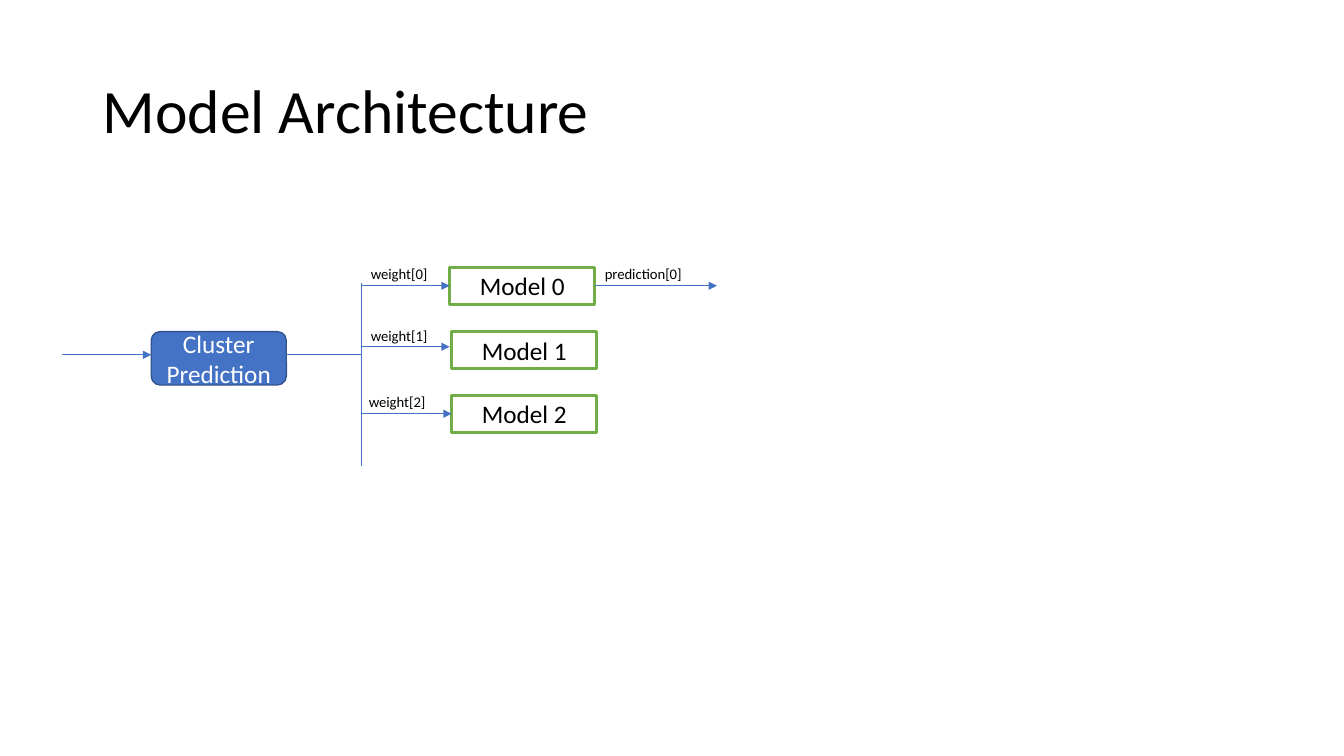
from pptx import Presentation
from pptx.dml.color import RGBColor
from pptx.enum import shapes, text
from pptx.oxml.ns import qn
from pptx.util import Inches, Pt
from lxml import etree

# Content: model, box (left, top), arrow height, weight label (left, top)
TITLE = "Model Architecture"
CLUSTER = "Cluster Prediction"
MODELS = [
    ("Model 0", (4.46, 2.65), 2.83, "weight[0]", (3.58, 2.58)),
    ("Model 1", (4.48, 3.29), 3.44, "weight[1]", (3.58, 3.19)),
    ("Model 2", (4.48, 3.92), 4.1, "weight[2]", (3.56, 3.85)),
]
OUTPUT = "prediction[0]"

# Layout in inches
BOX_W, BOX_H = 1.44, 0.37
LABEL_H = 0.29
CLUSTER_X, CLUSTER_Y, CLUSTER_W, CLUSTER_H = 1.5, 3.29, 1.34, 0.53
FLOW_Y, BUS_X, ARROW_W = 3.52, 3.58, 0.88
BUS_TOP, BUS_BOTTOM = 2.81, 4.62
OUTPUT_END = 7.11

FONT = "Calibri"
BLACK = RGBColor(0x00, 0x00, 0x00)
WHITE = RGBColor(0xFF, 0xFF, 0xFF)
BLUE = RGBColor(0x44, 0x72, 0xC4)
DARK_BLUE = RGBColor(0x32, 0x54, 0x91)
GREEN = RGBColor(0x70, 0xAD, 0x47)

prs = Presentation()
prs.slide_width, prs.slide_height = Inches(13.33), Inches(7.5)
slide = prs.slides.add_slide(prs.slide_layouts[5])


def set_font(p, size, color):
    p.font.name, p.font.size = FONT, Pt(size)
    p.font.color.rgb = color


def add_box(kind, label, x, y, w, h, line, width, color, fill=None):
    sp = slide.shapes.add_shape(kind, Inches(x), Inches(y), Inches(w), Inches(h))
    sp.shadow.inherit = False
    if fill is None:
        sp.fill.background()
    else:
        sp.fill.solid()
        sp.fill.fore_color.rgb = fill
    sp.line.color.rgb, sp.line.width = line, Pt(width)
    tf = sp.text_frame
    tf.word_wrap = True
    tf.vertical_anchor = text.MSO_ANCHOR.MIDDLE
    tf.text = label
    p = tf.paragraphs[0]
    p.alignment = text.PP_ALIGN.CENTER
    set_font(p, 18, color)
    return sp


def add_line(x1, y1, x2, y2, arrow=False):
    line = slide.shapes.add_connector(
        shapes.MSO_CONNECTOR.STRAIGHT, Inches(x1), Inches(y1), Inches(x2), Inches(y2))
    line.line.color.rgb, line.line.width = BLUE, Pt(0.5)
    if arrow:
        etree.SubElement(line.line._get_or_add_ln(), qn("a:tailEnd"), type="triangle")
    etree.SubElement(line._element.spPr, qn("a:effectLst"))
    return line


def add_label(label, x, y):
    tb = slide.shapes.add_textbox(Inches(x), Inches(y), Inches(BOX_W), Inches(LABEL_H))
    tf = tb.text_frame
    tf.word_wrap = True
    tf.auto_size = text.MSO_AUTO_SIZE.SHAPE_TO_FIT_TEXT
    tf.text = label
    set_font(tf.paragraphs[0], 10.5, BLACK)


# Title
title = slide.shapes.title
title.left, title.top = Inches(0.92), Inches(0.4)
title.width, title.height = Inches(11.5), Inches(1.45)
tf = title.text_frame
tf.text = TITLE
tf.vertical_anchor = text.MSO_ANCHOR.MIDDLE
p = tf.paragraphs[0]
p.alignment, p.line_spacing = text.PP_ALIGN.LEFT, 0.9
set_font(p, 44, BLACK)

# Cluster prediction with its input, and the bus it feeds
add_line(CLUSTER_X - ARROW_W, FLOW_Y, CLUSTER_X, FLOW_Y, arrow=True)
add_box(shapes.MSO_SHAPE.ROUNDED_RECTANGLE, CLUSTER, CLUSTER_X, CLUSTER_Y,
        CLUSTER_W, CLUSTER_H, DARK_BLUE, 1, WHITE, BLUE)
add_line(CLUSTER_X + CLUSTER_W, FLOW_Y, BUS_X, FLOW_Y)
add_line(BUS_X, BUS_TOP, BUS_X, BUS_BOTTOM)

# Models, each reached by a weighted arrow
boxes = []
for model, (x, y), arrow_y, weight, label_at in MODELS:
    box = add_box(shapes.MSO_SHAPE.RECTANGLE, model, x, y, BOX_W, BOX_H,
                  GREEN, 2.25, BLACK)
    boxes.append(box)
    middle = y + BOX_H / 2
    joined = abs(arrow_y - middle) < 0.02
    if joined:
        arrow_y = middle
    arrow = add_line(BUS_X, arrow_y, BUS_X + ARROW_W, arrow_y, arrow=True)
    if joined:
        arrow.end_connect(box, 1)
    add_label(weight, *label_at)

# Output of the first model
x, y = MODELS[0][1]
output_y = y + BOX_H / 2
output = add_line(x + BOX_W, output_y, OUTPUT_END, output_y, arrow=True)
output.begin_connect(boxes[0], 3)
add_label(OUTPUT, x + BOX_W, MODELS[0][4][1])

prs.save("out.pptx")
